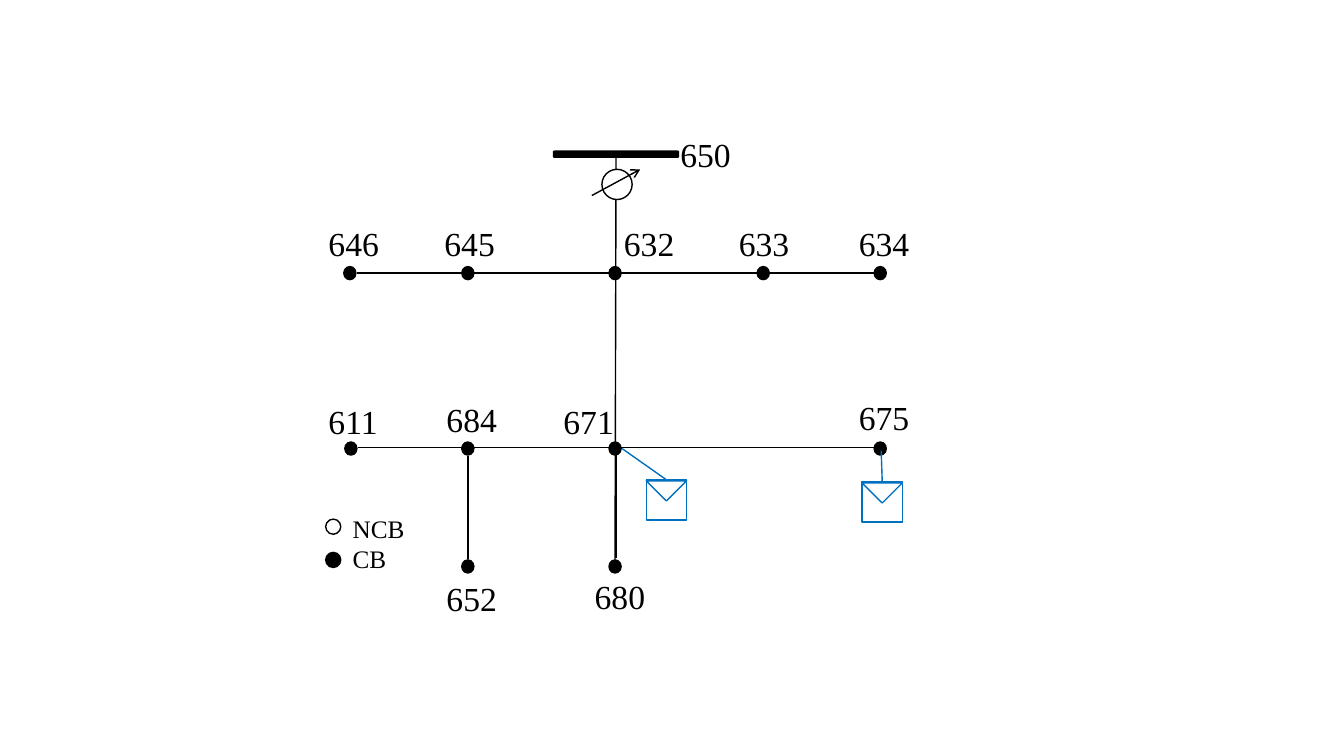
import pptx
import pptx.util
import pptx.dml.color
import pptx.enum.shapes
import pptx.oxml
import pptx.oxml.ns
from dataclasses import dataclass

Inches = pptx.util.Inches
Pt = pptx.util.Pt
SHAPE = pptx.enum.shapes.MSO_SHAPE


@dataclass(frozen=True)
class Theme:
    black: str = "000000"
    white: str = "FFFFFF"
    blue: str = "0070C0"
    font: str = "Times New Roman"
    label_size: int = 24
    legend_size: int = 18
    line_width: int = 1


THEME = Theme()

NODE_SIZE = (0.12, 0.13)
LEGEND_SIZE = (0.15, 0.15)
LABEL_SIZE = (0.74, 0.5)
LOAD_SIDE = 0.4
TOP_BUS, LOWER_BUS, END_BUS = 2.71, 4.45, 5.62
COL_A, COL_B, COL_C, COL_D, COL_E = 3.47, 4.64, 6.1, 7.57, 8.73

# name: (node centre, label left and top)
BUSES = {
    "646": ((COL_A, TOP_BUS), (3.16, 2.16)),
    "645": ((COL_B, TOP_BUS), (4.31, 2.16)),
    "632": ((COL_C, TOP_BUS), (6.09, 2.16)),
    "633": ((COL_D, TOP_BUS), (7.23, 2.16)),
    "634": ((COL_E, TOP_BUS), (8.42, 2.16)),
    "611": ((COL_A + 0.01, LOWER_BUS), (3.16, 3.93)),
    "684": ((COL_B, LOWER_BUS), (4.33, 3.91)),
    "671": ((COL_C, LOWER_BUS), (5.49, 3.93)),
    "675": ((COL_E, LOWER_BUS), (8.42, 3.89)),
    "652": ((COL_B, END_BUS), (4.33, 5.68)),
    "680": ((COL_C, END_BUS), (5.8, 5.66)),
}

FEEDERS = [
    ((3.54, TOP_BUS), (8.67, TOP_BUS)),
    ((3.55, 4.44), (8.68, 4.44)),
    ((6.11, 1.56), (6.1, 5.55)),
    ((4.64, 4.52), (4.64, 5.55)),
    ((6.11, 4.5), (6.11, 5.54)),
]

# feeder start, load left and top
LOADS = [((6.17, 4.45), (6.41, 4.76)), ((8.74, 4.47), (8.55, 4.78))]


def rgb(value):
    return pptx.dml.color.RGBColor.from_string(value)


def add_shape(slide, kind, pos, size, fill, line=THEME.black):
    sp = slide.shapes.add_shape(kind, *map(Inches, (*pos, *size)))
    sp.shadow.inherit = False
    sp.fill.solid()
    sp.fill.fore_color.rgb = rgb(fill)
    sp.line.color.rgb = rgb(line)
    sp.line.width = Pt(THEME.line_width)
    return sp


def add_line(slide, start, end, color=THEME.black, arrow=False):
    cx = slide.shapes.add_connector(
        pptx.enum.shapes.MSO_CONNECTOR.STRAIGHT, *map(Inches, (*start, *end)))
    cx.line.color.rgb = rgb(color)
    cx.line.width = Pt(THEME.line_width)
    if arrow:
        tail = pptx.oxml.parse_xml(
            f'<a:tailEnd {pptx.oxml.ns.nsdecls("a")} type="arrow"/>')
        cx.line._get_or_add_ln().append(tail)
    cx._element.spPr.append(
        pptx.oxml.parse_xml(f'<a:effectLst {pptx.oxml.ns.nsdecls("a")}/>'))
    return cx


def add_text(slide, lines, pos, size, points):
    tf = slide.shapes.add_textbox(*map(Inches, (*pos, *size))).text_frame
    tf.word_wrap = True
    for i, line in enumerate(lines):
        p = tf.paragraphs[0] if i == 0 else tf.add_paragraph()
        r = p.add_run()
        r.text = line
        for name, value in {"name": THEME.font, "size": Pt(points)}.items():
            setattr(r.font, name, value)
        r.font.color.rgb = rgb(THEME.black)


def add_bus(slide, name, centre, label_pos):
    pos = [c - s / 2 for c, s in zip(centre, NODE_SIZE)]
    add_shape(slide, SHAPE.OVAL, pos, NODE_SIZE, THEME.black)
    add_text(slide, [name], label_pos, LABEL_SIZE, THEME.label_size)


def add_load(slide, start, pos):
    """Draw a blue square with an inverted triangle, fed from start."""
    left, top = pos
    box = add_shape(slide, SHAPE.RECTANGLE, pos, (LOAD_SIDE, LOAD_SIDE),
                    THEME.white, THEME.blue)
    flap = add_shape(slide, SHAPE.ISOSCELES_TRIANGLE, (left, top + 0.01),
                     (LOAD_SIDE, LOAD_SIDE / 2), THEME.white, THEME.blue)
    flap.rotation = 180
    feeder = add_line(slide, start, (left + LOAD_SIDE / 2, top), THEME.blue)
    feeder.end_connect(box, 0)


def add_source(slide):
    """Draw the substation bar 650 and its voltage regulator."""
    add_shape(slide, SHAPE.ROUNDED_RECTANGLE, (5.49, 1.5), (1.24, 0.06), THEME.black)
    add_text(slide, ["650"], (6.65, 1.28), LABEL_SIZE, THEME.label_size)
    add_shape(slide, SHAPE.OVAL, (5.97, 1.68), (0.3, 0.3), THEME.white)
    add_line(slide, (5.87, 1.94), (6.35, 1.68), arrow=True)


def add_legend(slide):
    add_text(slide, ["NCB", "CB"], (3.4, 5.04), (0.84, 0.71), THEME.legend_size)
    for top, fill in ((5.15, THEME.white), (5.48, THEME.black)):
        add_shape(slide, SHAPE.OVAL, (3.23, top), LEGEND_SIZE, fill)


def main():
    prs = pptx.Presentation()
    prs.slide_width, prs.slide_height = Inches(13.33), Inches(7.5)
    slide = prs.slides.add_slide(prs.slide_layouts[6])
    for start, end in FEEDERS:
        add_line(slide, start, end)
    for name, (centre, label_pos) in BUSES.items():
        add_bus(slide, name, centre, label_pos)
    add_source(slide)
    for start, pos in LOADS:
        add_load(slide, start, pos)
    add_legend(slide)
    prs.save("out.pptx")


if __name__ == "__main__":
    main()
